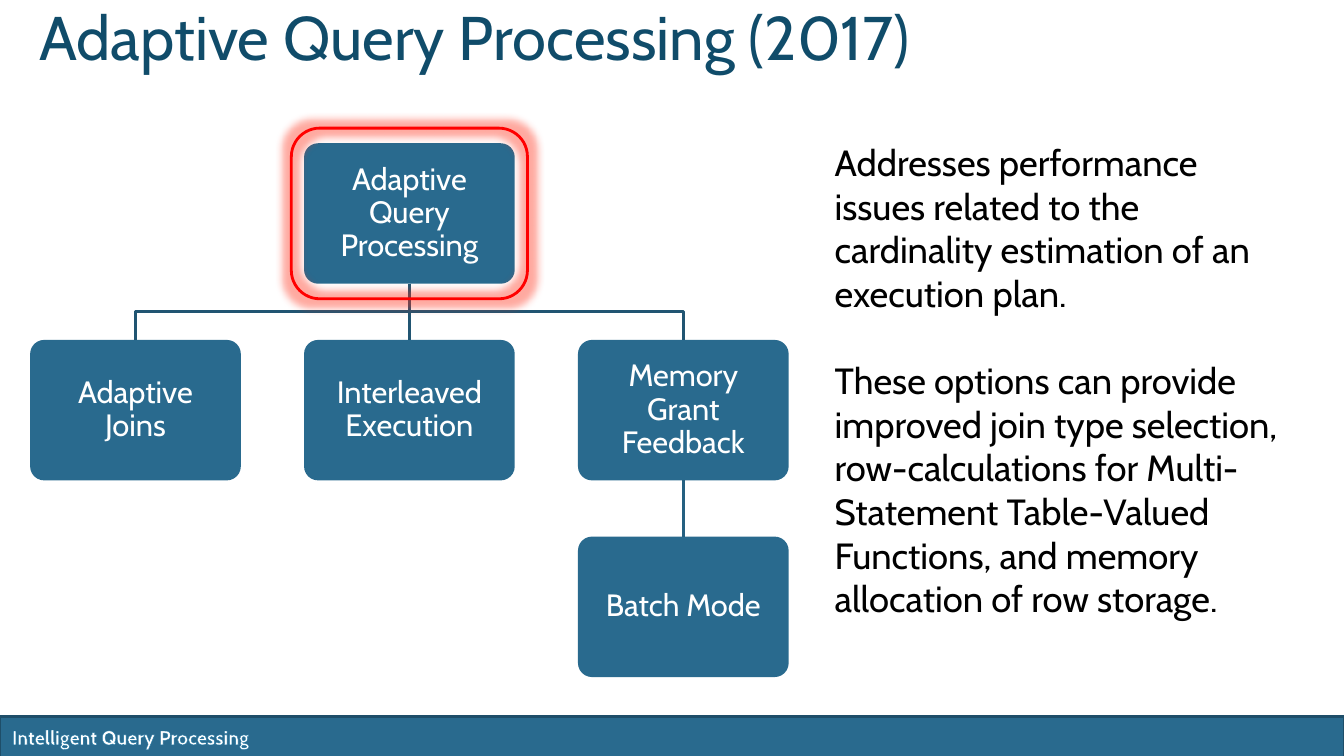
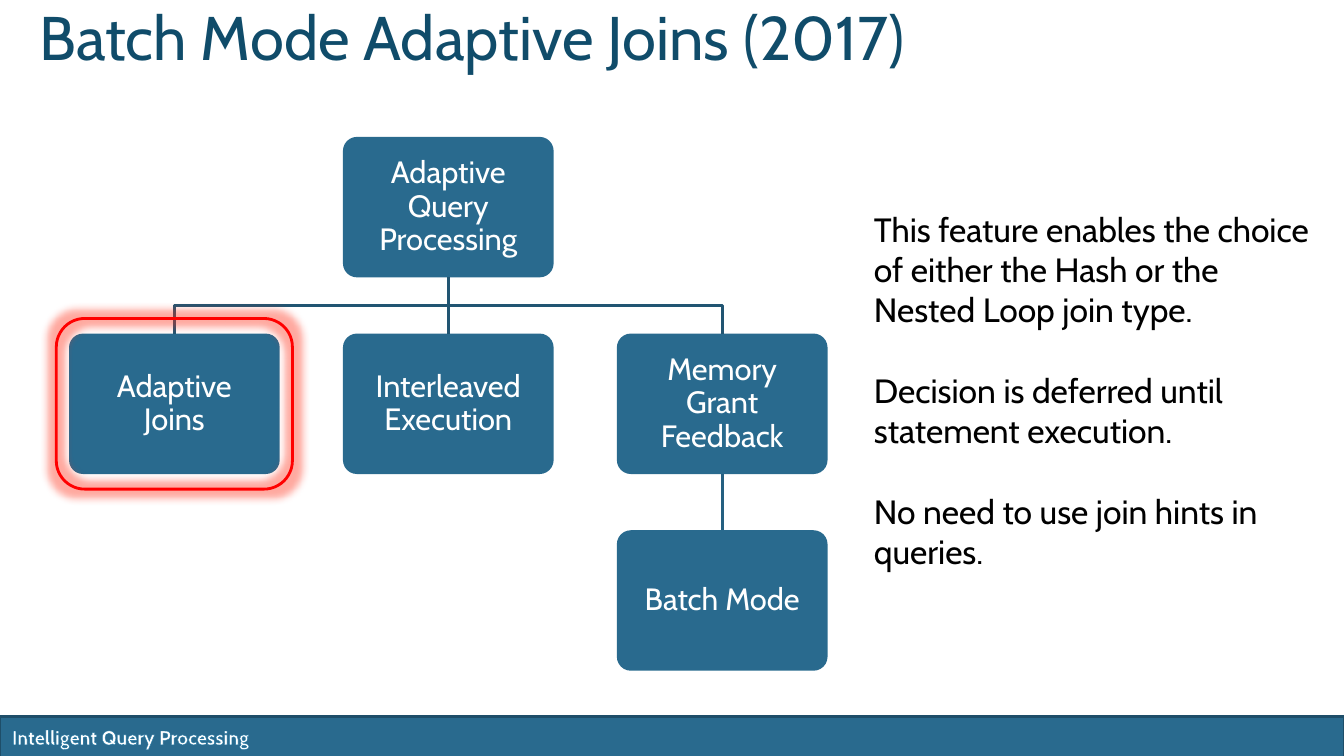
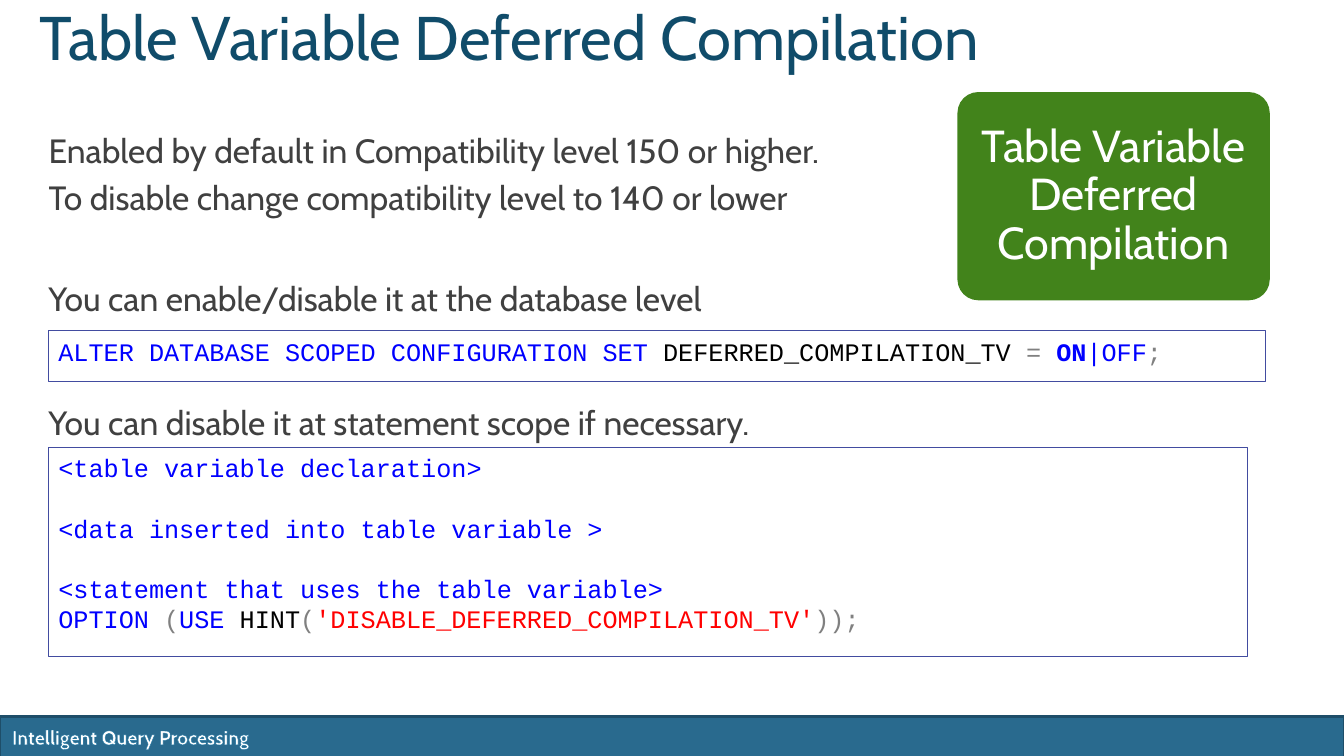
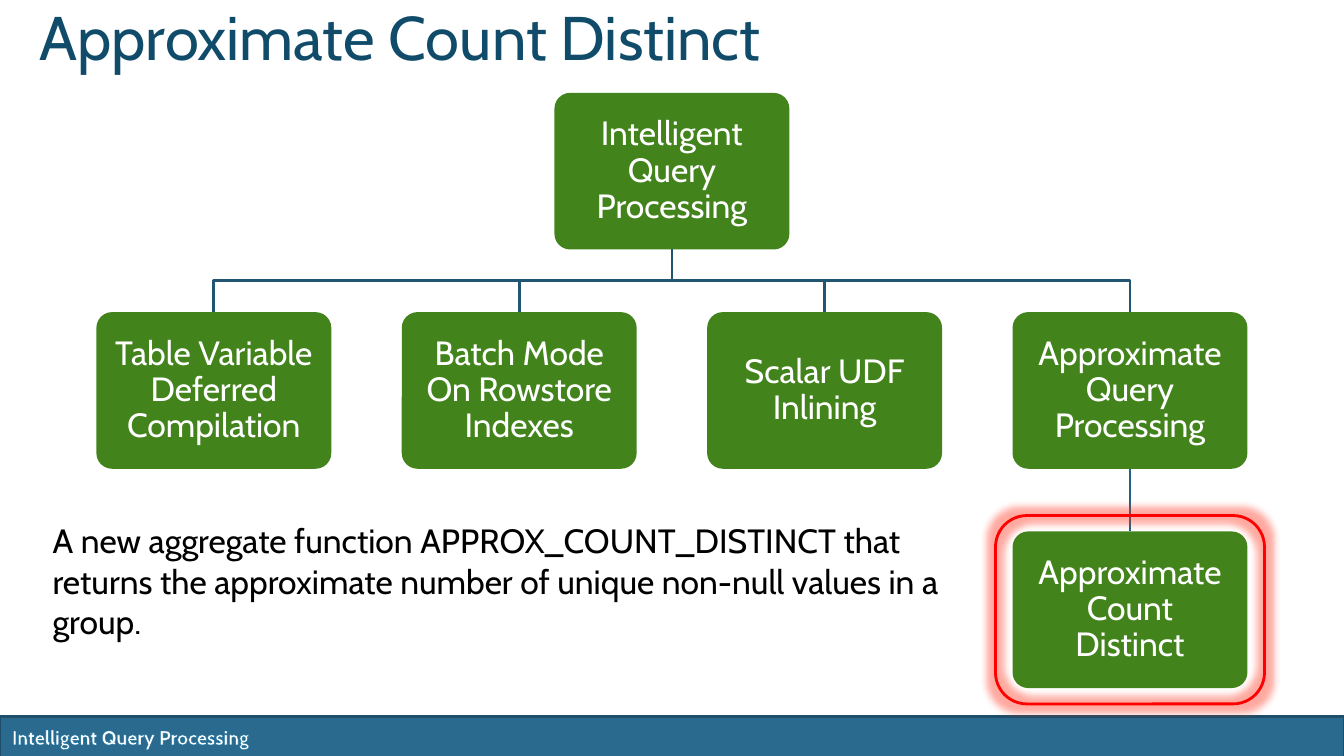
import lxml.etree
import pptx
import pptx.dml.color
import pptx.enum.shapes
import pptx.enum.text
import pptx.oxml.ns
import pptx.util

Cm = pptx.util.Cm
Pt = pptx.util.Pt
qn = pptx.oxml.ns.qn
SHAPE = pptx.enum.shapes.MSO_SHAPE
ANCHOR = pptx.enum.text.MSO_ANCHOR
ALIGN = pptx.enum.text.PP_ALIGN

COLOURS = {
    "band": "296A8E",
    "band_edge": "1E4E69",
    "band_glyph_edge": "1872A0",
    "title": "104C6A",
    "white": "FFFFFF",
    "text": "000000",
    "note": "404040",
    "adaptive": "296A8E",
    "intelligent": "42831B",
    "branch": "215572",
    "leaf": "256081",
    "highlight": "FF0000",
    "glow": "FF2A12",
    "code_edge": "424CA0",
    "keyword": "0000FF",
    "switch": "0000FF",
    "name": "000000",
    "symbol": "808080",
    "string": "FF0000",
}
FONT = "Cabin"
CODE_FONT = "Courier New"
CODE_LINE = Pt(21.6)
ADAPTIVE_BRANCHES = ["Adaptive Joins", "Interleaved Execution", "Memory Grant Feedback"]


def rgb(role):
    return pptx.dml.color.RGBColor.from_string(COLOURS[role])


class Deck:
    """Hold the shared style and the current slide, and draw each kind of element."""

    def __init__(self):
        self.presentation = pptx.Presentation()
        self.presentation.slide_width = Cm(33.87)
        self.presentation.slide_height = Cm(19.05)
        self.layout = self.presentation.slide_layouts[1]
        self.place(self.layout.placeholders[0], 0.74, 0.48, 30.48, 3.18)
        self.slide = None

    def place(self, shape, left, top, width, height):
        shape.left, shape.top = Cm(left), Cm(top)
        shape.width, shape.height = Cm(width), Cm(height)

    def style(self, paragraph, size, role, name=FONT):
        paragraph.font.name = name
        paragraph.font.size = Pt(size)
        if role:
            paragraph.font.color.rgb = rgb(role)

    def outline(self, shape, role, width):
        shape.line.color.rgb = rgb(role)
        shape.line.width = Pt(width)

    def prepare(self, frame, anchor=ANCHOR.TOP):
        frame.word_wrap = True
        frame.auto_size = pptx.enum.text.MSO_AUTO_SIZE.NONE
        frame.vertical_anchor = anchor

    def open_slide(self, heading):
        self.slide = self.presentation.slides.add_slide(self.layout)
        if len(self.presentation.slides) == 1:
            self.footer("Intelligent Query Processing")
        frame = self.slide.shapes.title.text_frame
        self.prepare(frame)
        paragraph = frame.paragraphs[0]
        paragraph.text = heading
        paragraph.alignment = ALIGN.LEFT
        paragraph.line_spacing = Pt(35)
        self.style(paragraph, 44, "title")

    def footer(self, caption):
        band = self.block(SHAPE.RECTANGLE, 0, 18.06, 33.87, 1.02, "band")
        self.outline(band, "band_edge", 2)
        frame = band.text_frame
        self.prepare(frame, ANCHOR.MIDDLE)
        frame.margin_left = Cm(0.3)
        paragraph = frame.paragraphs[0]
        paragraph.text = caption
        paragraph.alignment = ALIGN.LEFT
        self.style(paragraph, 14, "white")
        paragraph.runs[0].font.bold = True
        glyph_edge = lxml.etree.Element(qn("a:ln"), w=str(Pt(0.8)))
        edge_fill = lxml.etree.SubElement(glyph_edge, qn("a:solidFill"))
        lxml.etree.SubElement(edge_fill, qn("a:srgbClr"), val=COLOURS["band_glyph_edge"])
        band.element.xpath(".//a:rPr")[0].insert(0, glyph_edge)
        band.element.xpath(".//p:cNvPr")[0].set("id", "101")
        self.layout.shapes.element.append(band.element)

    def block(self, kind, left, top, width, height, fill=None):
        shape = self.slide.shapes.add_shape(kind, Cm(left), Cm(top), Cm(width), Cm(height))
        shape.shadow.inherit = False
        if fill:
            shape.fill.solid()
            shape.fill.fore_color.rgb = rgb(fill)
        else:
            shape.fill.background()
        return shape

    def node(self, label, left, top, width, size, family):
        node = self.block(SHAPE.ROUNDED_RECTANGLE, left, top, width, width * 2 / 3, family)
        node.adjustments[0] = 0.1
        node.line.fill.background()
        frame = node.text_frame
        self.prepare(frame, ANCHOR.MIDDLE)
        frame.margin_left = frame.margin_right = Cm(0.3)
        paragraph = frame.paragraphs[0]
        paragraph.text = label
        paragraph.alignment = ALIGN.CENTER
        paragraph.line_spacing = 0.9
        self.style(paragraph, size, "white")
        return node

    def link(self, parent, child, role="branch"):
        start_x = parent.left + parent.width // 2
        start_y = parent.top + parent.height
        end_x = child.left + child.width // 2
        if start_x == end_x:
            line = self.slide.shapes.add_connector(
                pptx.enum.shapes.MSO_CONNECTOR.STRAIGHT, start_x, start_y, end_x, child.top)
            line.begin_connect(parent, 2)
            line.end_connect(child, 0)
            lxml.etree.SubElement(line.element.spPr, qn("a:effectLst"))
            self.outline(line, role, 2)
            lines_fill = line.element.spPr
            lines_fill.append(lines_fill.find(qn("a:effectLst")))
            return
        middle_y = (start_y + child.top) // 2
        builder = self.slide.shapes.build_freeform(start_x, start_y)
        builder.add_line_segments(
            [(start_x, middle_y), (end_x, middle_y), (end_x, child.top)], close=False)
        elbow = builder.convert_to_shape()
        elbow.shadow.inherit = False
        elbow.fill.background()
        self.outline(elbow, role, 2)

    def tree(self, root, branches, leaf, left, top, width, size, family):
        step_x, step_y = width * 1.3, width * 2 / 3 * 1.4
        last = len(branches) - 1
        spots = [(root, last / 2, 0)]
        spots += [(label, column, 1) for column, label in enumerate(branches)]
        spots.append((leaf, last, 2))
        nodes = {
            label: self.node(label, left + column * step_x, top + row * step_y, width, size, family)
            for label, column, row in spots
        }
        for label in branches:
            self.link(nodes[root], nodes[label])
        self.link(nodes[branches[-1]], nodes[leaf], "leaf")
        return nodes

    def adaptive_tree(self, left, top):
        return self.tree("Adaptive Query Processing", ADAPTIVE_BRANCHES, "Batch Mode",
                         left, top, 5.31, 22, "adaptive")

    def highlight(self, node, margin_x, margin_y):
        frame = self.block(
            SHAPE.ROUNDED_RECTANGLE, node.left.cm - margin_x, node.top.cm - margin_y,
            node.width.cm + 2 * margin_x, node.height.cm + 2 * margin_y)
        self.outline(frame, "highlight", 2)
        effects = frame.element.xpath("./p:spPr/a:effectLst")[0]
        glow = lxml.etree.SubElement(effects, qn("a:glow"), rad=str(Pt(11)))
        tint = lxml.etree.SubElement(glow, qn("a:srgbClr"), val=COLOURS["glow"])
        lxml.etree.SubElement(tint, qn("a:alpha"), val="40000")

    def body(self, statements, left, top, width, height, size=24, gap=28.8, role="text"):
        body = self.slide.placeholders[1]
        self.place(body, left, top, width, height)
        frame = body.text_frame
        self.prepare(frame)
        for index, statement in enumerate(statements):
            paragraph = frame.add_paragraph() if index else frame.paragraphs[0]
            paragraph.text = statement
            properties = paragraph._p.get_or_add_pPr()
            properties.set("marL", "0")
            properties.set("indent", "0")
            lxml.etree.SubElement(properties, qn("a:buNone"))
            paragraph.space_before = Pt(gap if index else 0)
            self.style(paragraph, size, role)

    def text_box(self, left, top, width, height):
        box = self.slide.shapes.add_textbox(Cm(left), Cm(top), Cm(width), Cm(height))
        self.prepare(box.text_frame)
        return box

    def note(self, wording, top):
        paragraph = self.text_box(0.97, top, 30.48, 1.27).text_frame.paragraphs[0]
        paragraph.text = wording
        self.style(paragraph, 24, "note")

    def code(self, statements, top, width, height):
        box = self.text_box(1.22, top, width, height)
        self.outline(box, "code_edge", 0.75)
        frame = box.text_frame
        paragraph = None
        for statement in statements:
            for index, tokens in enumerate(statement):
                opens_statement = paragraph is not None and index == 0
                paragraph = frame.paragraphs[0] if paragraph is None else frame.add_paragraph()
                paragraph.line_spacing = CODE_LINE
                if opens_statement:
                    paragraph.space_before = CODE_LINE
                self.style(paragraph, 18, None, CODE_FONT)
                for wording, role in tokens:
                    run = paragraph.add_run()
                    run.text = wording
                    run.font.color.rgb = rgb(role)
                    if role == "switch":
                        run.font.bold = True


def main():
    deck = Deck()

    deck.open_slide("Adaptive Query Processing (2017)")
    nodes = deck.adaptive_tree(0.76, 3.61)
    deck.body([
        "Addresses performance issues related to the cardinality estimation of an execution plan.",
        "These options can provide improved join type selection, row-calculations for "
        "Multi-Statement Table-Valued Functions, and memory allocation of row storage.",
    ], 20.78, 3.4, 11.84, 13.59, size=26, gap=31.2)
    deck.highlight(nodes["Adaptive Query Processing"], 0.32, 0.38)

    deck.open_slide("Batch Mode Adaptive Joins (2017)")
    nodes = deck.adaptive_tree(1.74, 3.45)
    deck.body([
        "This feature enables the choice of either the Hash or the Nested Loop join type.",
        "Decision is deferred until statement execution.",
        "No need to use join hints in queries.",
    ], 21.77, 5.13, 11.84, 9.5)
    deck.highlight(nodes["Adaptive Joins"], 0.32, 0.38)

    deck.open_slide("Table Variable Deferred Compilation")
    deck.node("Table Variable Deferred Compilation", 24.13, 2.32, 7.87, 32, "intelligent")
    deck.body([
        "Enabled by default in Compatibility level 150 or higher.",
        "To disable change compatibility level to 140 or lower",
    ], 0.97, 3.15, 25.5, 3.89, gap=4.8, role="note")
    deck.note("You can enable/disable it at the database level", 6.88)
    deck.code([[[
        ("ALTER DATABASE SCOPED CONFIGURATION SET", "keyword"),
        (" DEFERRED_COMPILATION_TV ", "name"),
        ("= ", "symbol"),
        ("ON", "switch"),
        ("|OFF", "keyword"),
        (";", "symbol"),
    ]]], 8.34, 30.68, 1.27)
    deck.note("You can disable it at statement scope if necessary.", 10.01)
    deck.code([
        [[("<table variable declaration>", "keyword")]],
        [[("<data inserted into table variable >", "keyword")]],
        [
            [("<statement that uses the table variable>", "keyword")],
            [
                ("OPTION ", "keyword"),
                ("(", "symbol"),
                ("USE", "keyword"),
                (" HINT", "name"),
                ("(", "symbol"),
                ("'DISABLE_DEFERRED_COMPILATION_TV'", "string"),
                ("));", "symbol"),
            ],
        ],
    ], 11.28, 30.23, 5.26)

    deck.open_slide("Approximate Count Distinct")
    nodes = deck.tree("Intelligent Query Processing", [
        "Table Variable Deferred Compilation",
        "Batch Mode On Rowstore Indexes",
        "Scalar UDF Inlining",
        "Approximate Query Processing",
    ], "Approximate Count Distinct", 2.43, 2.34, 5.92, 24, "intelligent")
    deck.highlight(nodes["Approximate Count Distinct"], 0.43, 0.4)
    deck.body([
        "A new aggregate function APPROX_COUNT_DISTINCT that returns the approximate number "
        "of unique non-null values in a group.",
    ], 1.07, 12.98, 23.75, 3.33)

    deck.presentation.save("out.pptx")


if __name__ == "__main__":
    main()
